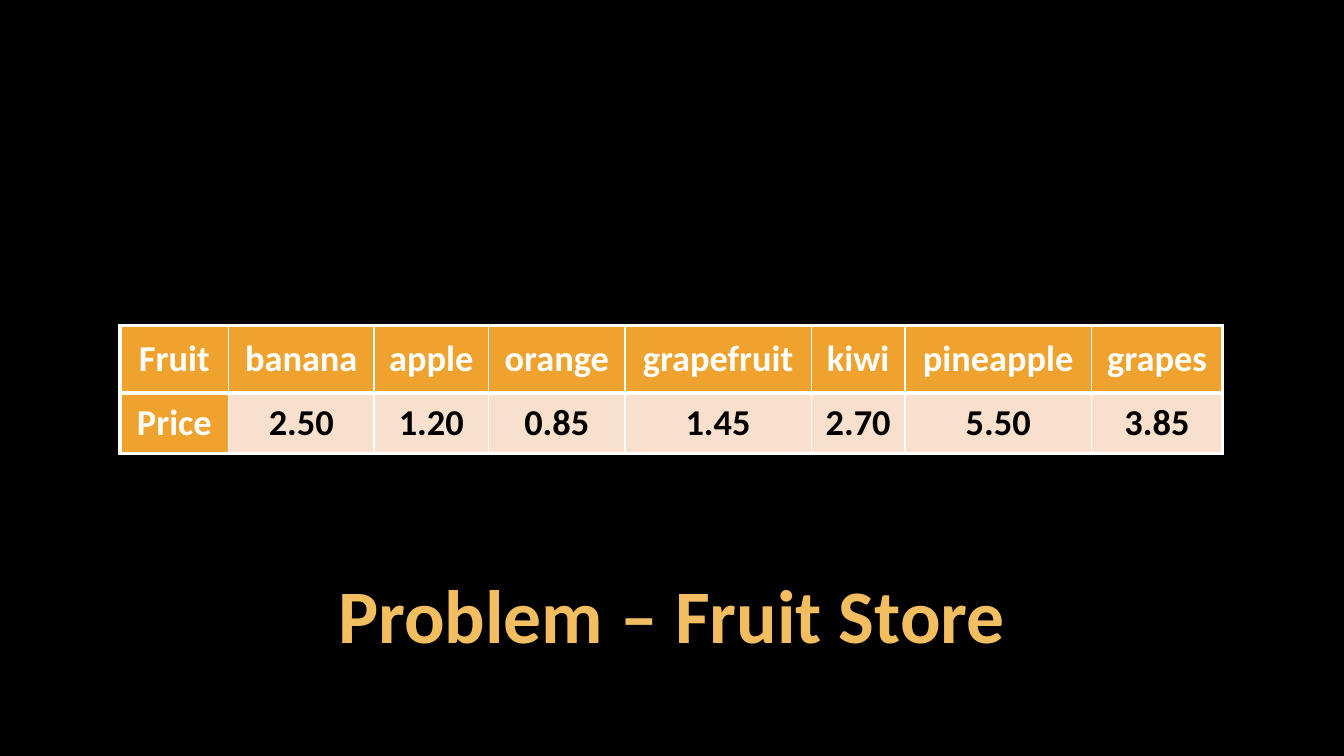
import pptx
import pptx.util
import pptx.dml.color
import pptx.enum.text
import pptx.oxml.ns
from lxml import etree

Pt = pptx.util.Pt
RGBColor = pptx.dml.color.RGBColor
Anchor = pptx.enum.text.MSO_ANCHOR

BLACK = RGBColor(0x00, 0x00, 0x00)
WHITE = RGBColor(0xFF, 0xFF, 0xFF)
GOLD = RGBColor(0xF3, 0xBE, 0x60)
ORANGE = RGBColor(0xF0, 0xA2, 0x2E)
PEACH = RGBColor(0xF9, 0xE0, 0xCD)

FONT = "Calibri"
THICK, THIN = Pt(3), Pt(1)

PRICE_ROWS = [
    ["Fruit", "banana", "apple", "orange", "grapefruit", "kiwi", "pineapple", "grapes"],
    ["Price", "2.50", "1.20", "0.85", "1.45", "2.70", "5.50", "3.85"],
]
COLUMN_WIDTHS = [77.76, 103.68, 82.08, 97.2, 133.2, 66.96, 133.2, 93.6]
ROW_HEIGHTS = [48.24, 43.2]


def add_span(para, text, size, color):
    """Add one bold, centred run."""
    para.alignment = pptx.enum.text.PP_ALIGN.CENTER
    span = para.add_run()
    span.text = text
    span.font.name = FONT
    span.font.size = Pt(size)
    span.font.bold = True
    span.font.color.rgb = color


def add_title(page, text):
    title = page.shapes.title
    title.left, title.top = Pt(113.76), Pt(409.68)
    title.width, title.height = Pt(732.24), Pt(64.8)
    frame = title.text_frame
    frame.word_wrap = True
    frame.auto_size = pptx.enum.text.MSO_AUTO_SIZE.SHAPE_TO_FIT_TEXT
    frame.vertical_anchor = Anchor.BOTTOM
    frame.margin_left = frame.margin_right = Pt(2.88)
    frame.margin_top = frame.margin_bottom = Pt(2.88)
    para = frame.paragraphs[0]
    para.line_spacing = 0.9
    add_span(para, text, 54, GOLD)


def set_borders(cell, widths):
    """Draw white cell borders; widths maps L, R, T and B to line widths."""
    properties = cell._tc.get_or_add_tcPr()
    for side, width in widths.items():
        line = etree.SubElement(properties, pptx.oxml.ns.qn(f"a:ln{side}"), w=str(width))
        fill = etree.SubElement(line, pptx.oxml.ns.qn("a:solidFill"))
        etree.SubElement(fill, pptx.oxml.ns.qn("a:srgbClr"), val=str(WHITE))


def add_price_table(page):
    frame = page.shapes.add_table(
        len(ROW_HEIGHTS), len(COLUMN_WIDTHS), Pt(85.68), Pt(232.56),
        Pt(sum(COLUMN_WIDTHS)), Pt(sum(ROW_HEIGHTS)))
    table = frame.table
    table.first_col = True
    table.horz_banding = False
    for column, width in zip(table.columns, COLUMN_WIDTHS):
        column.width = Pt(width)
    for row, height in zip(table.rows, ROW_HEIGHTS):
        row.height = Pt(height)

    last = len(COLUMN_WIDTHS) - 1
    for row_index, texts in enumerate(PRICE_ROWS):
        for column_index, text in enumerate(texts):
            cell = table.cell(row_index, column_index)
            is_header = row_index == 0 or column_index == 0
            # Thick outer frame and row rules, thin column rules
            set_borders(cell, {
                "L": THICK if column_index == 0 else THIN,
                "R": THICK if column_index == last else THIN,
                "T": THICK,
                "B": THICK,
            })
            cell.fill.solid()
            cell.fill.fore_color.rgb = ORANGE if is_header else PEACH
            cell.vertical_anchor = Anchor.MIDDLE
            cell.margin_left = cell.margin_right = Pt(5.04)
            cell.margin_top = cell.margin_bottom = Pt(0)
            add_span(cell.text_frame.paragraphs[0], text, 26,
                     WHITE if is_header else BLACK)


def main():
    deck = pptx.Presentation()
    deck.slide_width, deck.slide_height = Pt(960), Pt(540)

    # Black page with a title-only layout
    page = deck.slides.add_slide(deck.slide_layouts[5])
    page.background.fill.solid()
    page.background.fill.fore_color.rgb = BLACK

    add_title(page, "Problem – Fruit Store")
    add_price_table(page)
    deck.save("out.pptx")


if __name__ == "__main__":
    main()
